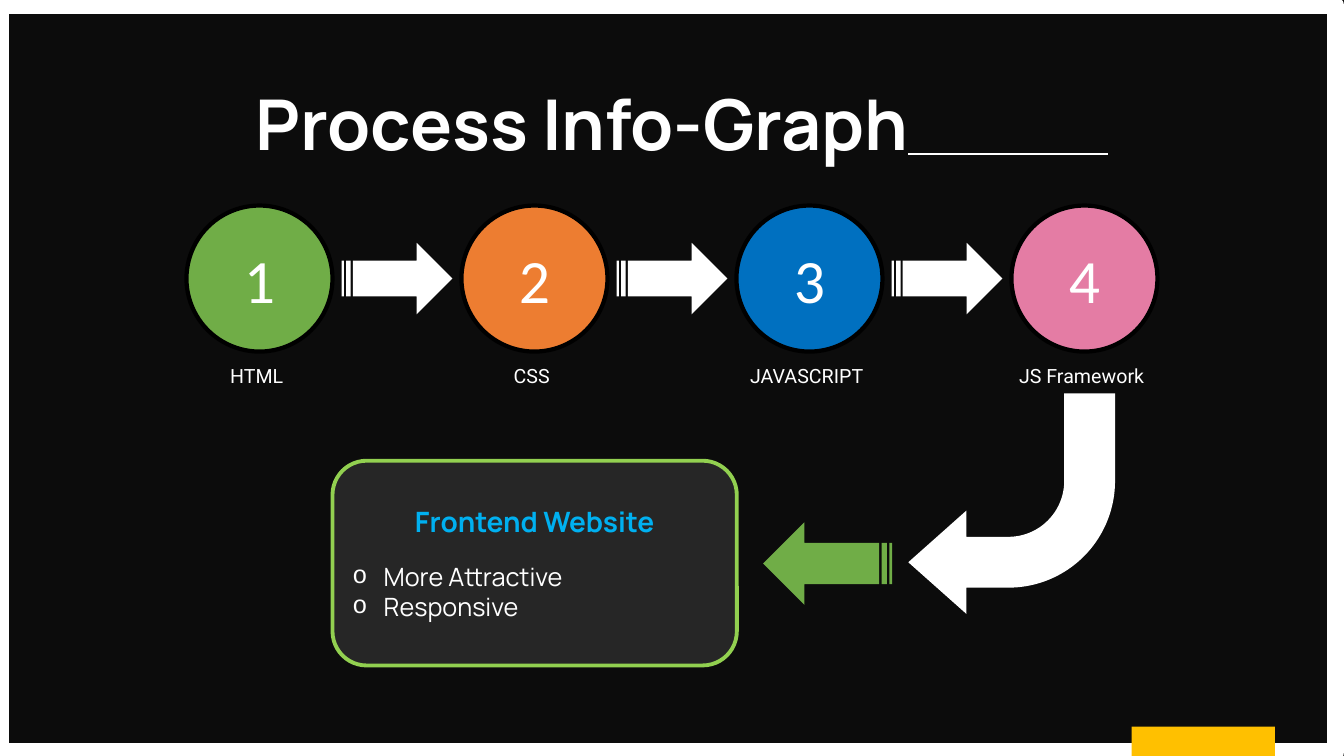
from lxml.etree import SubElement
from pptx import Presentation
from pptx.dml.color import RGBColor
from pptx.enum.shapes import MSO_CONNECTOR, MSO_SHAPE as Shape
from pptx.enum.text import MSO_ANCHOR as Anchor, PP_ALIGN as Align
from pptx.oxml.ns import qn
from pptx.util import Cm, Pt

WHITE = RGBColor(0xFF, 0xFF, 0xFF)
BLACK = RGBColor(0x00, 0x00, 0x00)
NIGHT = RGBColor(0x0C, 0x0C, 0x0C)
CHARCOAL = RGBColor(0x26, 0x26, 0x26)
GREEN = RGBColor(0x70, 0xAD, 0x47)
LIME = RGBColor(0x92, 0xD0, 0x50)
ORANGE = RGBColor(0xED, 0x7D, 0x31)
BLUE = RGBColor(0x00, 0x70, 0xC0)
SKY = RGBColor(0x00, 0xB0, 0xF0)
PINK = RGBColor(0xE4, 0x7C, 0xA4)
AMBER = RGBColor(0xFF, 0xC0, 0x00)

STEPS = [("HTML", GREEN), ("CSS", ORANGE), ("JAVASCRIPT", BLUE), ("JS Framework", PINK)]
STEP_PITCH = 6.93


def add_block(page, kind, left, top, width, height, fill=None, line=None, weight=0):
    block = page.shapes.add_shape(kind, Cm(left), Cm(top), Cm(width), Cm(height))
    block.shadow.inherit = False
    if fill is None:
        block.fill.background()
    else:
        block.fill.solid()
        block.fill.fore_color.rgb = fill
    if line is None:
        block.line.fill.background()
    else:
        block.line.color.rgb = line
        block.line.width = Pt(weight)
    return block


def write(para, text, size, font, color=WHITE, bold=False, align=Align.CENTER):
    para.text = text
    para.alignment = align
    para.font.size = Pt(size)
    para.font.name = font
    para.font.bold = bold
    para.font.color.rgb = color


def add_label(page, left, top, width, height, text, size, font, bold=False):
    box = page.shapes.add_textbox(Cm(left), Cm(top), Cm(width), Cm(height))
    box.text_frame.word_wrap = True
    write(box.text_frame.paragraphs[0], text, size, font, bold=bold)


def add_rule(page, left, right, top):
    rule = page.shapes.add_connector(
        MSO_CONNECTOR.STRAIGHT, Cm(left), Cm(top), Cm(right), Cm(top))
    rule.line.color.rgb = WHITE
    rule.line.width = Pt(1.5)
    SubElement(rule._element.spPr, qn("a:effectLst"))


def add_bullet(para):
    props = para._p.get_or_add_pPr()
    props.set("marL", str(Cm(0.79)))
    props.set("indent", str(-Cm(0.79)))
    color = SubElement(props, qn("a:buClr"))
    SubElement(color, qn("a:srgbClr"), val=str(WHITE))
    SubElement(props, qn("a:buFont"), typeface="Courier New")
    SubElement(props, qn("a:buChar"), char="o")


def add_step(page, index, name, color):
    offset = index * STEP_PITCH
    circle = add_block(page, Shape.OVAL, 4.7 + offset, 5.18, 3.68, 3.68, color, BLACK, 3)
    circle.text_frame.vertical_anchor = Anchor.MIDDLE
    write(circle.text_frame.paragraphs[0], str(index + 1), 44, "Calibri")
    add_label(page, 4.35 + offset, 9.04, 4.24, 0.86, name, 14, "Roboto")
    if index < len(STEPS) - 1:
        add_block(page, Shape.STRIPED_RIGHT_ARROW, 8.61 + offset, 6.12, 2.79, 1.8, WHITE)


def add_result(page):
    turn = add_block(page, Shape.BENT_ARROW, 22.89, 9.91, 5.21, 5.56, WHITE)
    turn.rotation = 180
    for index, value in enumerate((0.246, 0.25, 0.281, 0.516)):
        turn.adjustments[index] = value
    arrow = add_block(page, Shape.STRIPED_RIGHT_ARROW, 19.23, 13.16, 3.25, 2.08, GREEN)
    arrow.rotation = 180
    card = add_block(
        page, Shape.ROUNDED_RECTANGLE, 8.38, 11.61, 10.19, 5.16, CHARCOAL, LIME, 2.75)
    frame = card.text_frame
    frame.vertical_anchor = Anchor.MIDDLE
    write(frame.paragraphs[0], "Frontend Website", 20, "Manrope", SKY, True)
    frame.paragraphs[0].space_after = Pt(17)
    for text in ("More Attractive", "Responsive"):
        para = frame.add_paragraph()
        add_bullet(para)
        write(para, text, 18, "Manrope", align=Align.LEFT)


def main():
    deck = Presentation()
    deck.slide_width, deck.slide_height = Cm(33.87), Cm(19.05)
    page = deck.slides.add_slide(deck.slide_layouts[6])
    page.background.fill.solid()
    page.background.fill.fore_color.rgb = NIGHT
    add_block(page, Shape.RECTANGLE, 0, 0.13, 33.66, 18.82, line=WHITE, weight=12.25)
    add_block(page, Shape.RECTANGLE, 28.52, 18.31, 3.61, 0.74, AMBER)
    add_label(page, 2.17, 1.91, 25.02, 2.39, "Process Info-Graph", 50, "Manrope", True)
    add_rule(page, 22.89, 27.91, 3.89)
    for index, (name, color) in enumerate(STEPS):
        add_step(page, index, name, color)
    add_result(page)
    deck.save("out.pptx")


if __name__ == "__main__":
    main()
